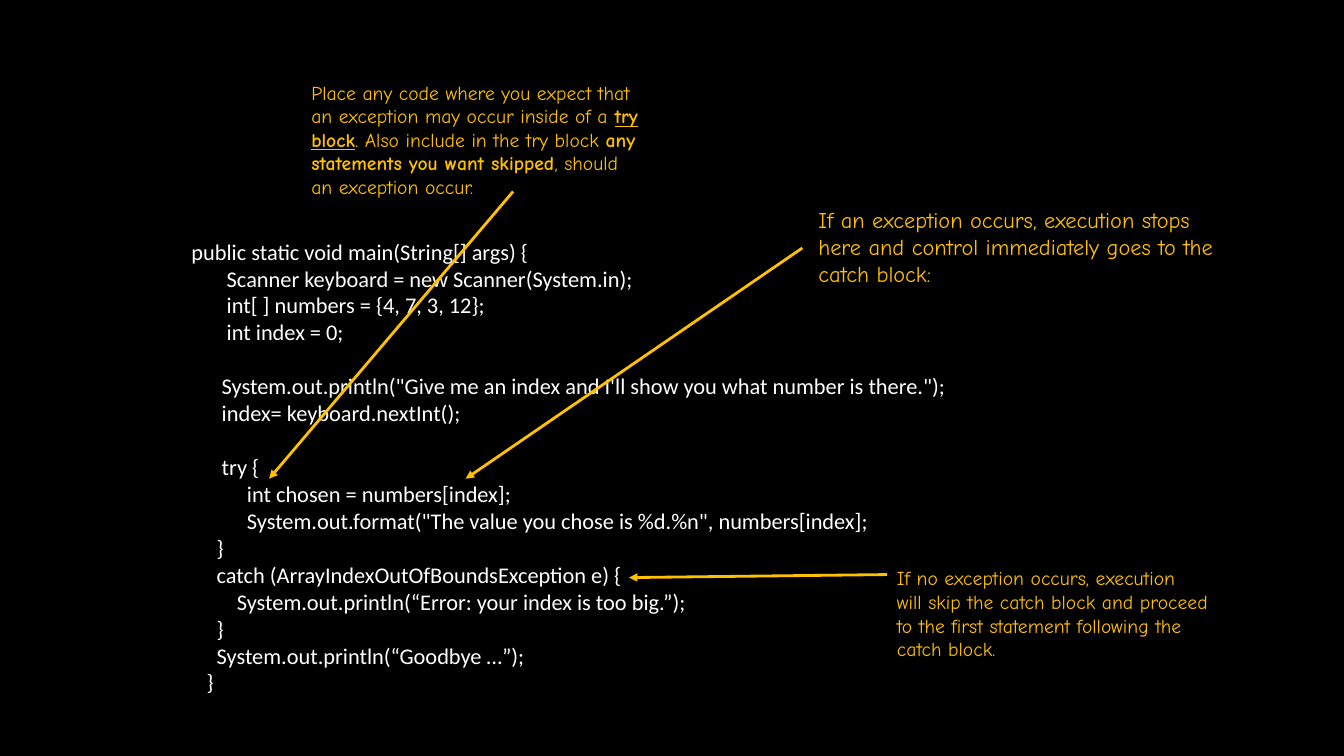
from dataclasses import dataclass

from lxml import etree
from pptx import Presentation
from pptx.dml.color import RGBColor
from pptx.enum.shapes import MSO_CONNECTOR
from pptx.oxml.ns import qn
from pptx.util import Inches, Pt

STRAIGHT = MSO_CONNECTOR.STRAIGHT
BLANK_LAYOUT = 6


@dataclass(frozen=True)
class Theme:
    """Colours, fonts and sizes of the slide."""
    back: RGBColor = RGBColor(0, 0, 0)
    code: RGBColor = RGBColor(255, 255, 255)
    accent: RGBColor = RGBColor(255, 192, 0)
    code_font: str = "Calibri"
    note_font: str = "Comic Neue"
    note_size: int = 14
    large_size: int = 16
    line_width: int = 2
    indent: float = 0.05  # inches per indent step of the code
    gap: float = 19.5  # points, one line of code


THEME = Theme()
BOLD = {"bold": True}
BOLD_LINE = {"bold": True, "underline": True}

# Each note: box (left, top, width, height) and arrow (x1, y1, x2, y2) in
# percent of the slide, type size, and lines made of (text, format) runs.
NOTES = [
    ((22.43, 10, 27.98, 17.07), (38.18, 25.33, 20.03, 63.33), THEME.note_size, [
        [("Place any code where you expect that", {})],
        [("an exception may occur inside of a ", {}), ("try", BOLD_LINE)],
        [("block", BOLD_LINE), (". Also include in the try block ", {}), ("any", BOLD)],
        [("statements you want skipped", BOLD), (", should", {})],
        [("an exception occur.", {})],
    ]),
    ((60.15, 26.67, 33.68, 12.13), (59.7, 32.8, 34.65, 63.33), THEME.large_size, [
        [("If an exception occurs, execution stops", {})],
        [("here and control immediately goes to the", {})],
        [("catch block:", {})],
    ]),
    ((66, 74.27, 26.78, 13.87), (66, 76, 46.8, 76.4), THEME.note_size, [
        [("If no exception occurs, execution", {})],
        [("will skip the catch block and proceed", {})],
        [("to the first statement following the", {})],
        [("catch block.", {})],
    ]),
]

CODE_BOX = (13.13, 30.8, 60, 62.4)
# Blocks of (indent steps, code line); a gap separates the blocks.
CODE = [
    [(1, "public static void main(String[] args) {"),
     (8, "Scanner keyboard = new Scanner(System.in);"),
     (8, "int[ ] numbers = {4, 7, 3, 12};"),
     (8, "int index = 0;")],
    [(7, "System.out.println(\"Give me an index and I'll show you what number is there.\");"),
     (7, "index= keyboard.nextInt();")],
    [(7, "try {"),
     (12, "int chosen = numbers[index];"),
     (12, "System.out.format(\"The value you chose is %d.%n\", numbers[index];"),
     (6, "}"),
     (6, "catch (ArrayIndexOutOfBoundsException e) {"),
     (10, "System.out.println(“Error: your index is too big.”);"),
     (6, "}"),
     (6, "System.out.println(“Goodbye …”);"),
     (4, "}")],
]


def to_emu(prs, shares):
    """Turn alternating x and y percentages into slide lengths."""
    sides = (prs.slide_width, prs.slide_height) * 2
    return [round(side * share / 100) for side, share in zip(sides, shares)]


def add_box(prs, slide, box):
    """Add an empty wrapping text box and return its text frame."""
    tf = slide.shapes.add_textbox(*to_emu(prs, box)).text_frame
    tf.word_wrap = True
    return tf


def next_paragraph(tf, first):
    """Return the frame's first paragraph, or a new one after it."""
    return tf.paragraphs[0] if first else tf.add_paragraph()


def add_run(p, text, *, font, size, color, bold=None, underline=None):
    """Append one formatted run to a paragraph."""
    r = p.add_run()
    r.text = text
    r.font.name, r.font.size = font, Pt(size)
    r.font.color.rgb = color
    r.font.bold, r.font.underline = bold, underline


def add_arrow(prs, slide, ends):
    """Draw an accent arrow between two points, without shadow."""
    cxn = slide.shapes.add_connector(STRAIGHT, *to_emu(prs, ends))
    cxn.line.color.rgb = THEME.accent
    cxn.line.width = Pt(THEME.line_width)
    etree.SubElement(cxn.line._get_or_add_ln(), qn("a:tailEnd"), type="triangle")
    etree.SubElement(cxn._element.spPr, qn("a:effectLst"))


def add_note(prs, slide, box, size, lines):
    """Write a comment, one paragraph per line."""
    tf = add_box(prs, slide, box)
    for i, runs in enumerate(lines):
        p = next_paragraph(tf, i == 0)
        for text, fmt in runs:
            add_run(p, text, font=THEME.note_font, size=size,
                    color=THEME.accent, **fmt)


def add_code(prs, slide, box, blocks):
    """Write indented code with a gap before each later block."""
    tf = add_box(prs, slide, box)
    for b, block in enumerate(blocks):
        for i, (steps, text) in enumerate(block):
            p = next_paragraph(tf, b == i == 0)
            p._p.get_or_add_pPr().set("marL", str(Inches(steps * THEME.indent)))
            if b and i == 0:
                p.space_before = Pt(THEME.gap)
            add_run(p, text, font=THEME.code_font, size=THEME.large_size,
                    color=THEME.code)


def main():
    """Build and save the slide."""
    prs = Presentation()
    prs.slide_width, prs.slide_height = Inches(13.33), Inches(7.5)
    slide = prs.slides.add_slide(prs.slide_layouts[BLANK_LAYOUT])
    slide.background.fill.solid()
    slide.background.fill.fore_color.rgb = THEME.back
    add_code(prs, slide, CODE_BOX, CODE)
    for box, arrow, size, lines in NOTES:
        add_note(prs, slide, box, size, lines)
        add_arrow(prs, slide, arrow)
    prs.save("out.pptx")


main()
